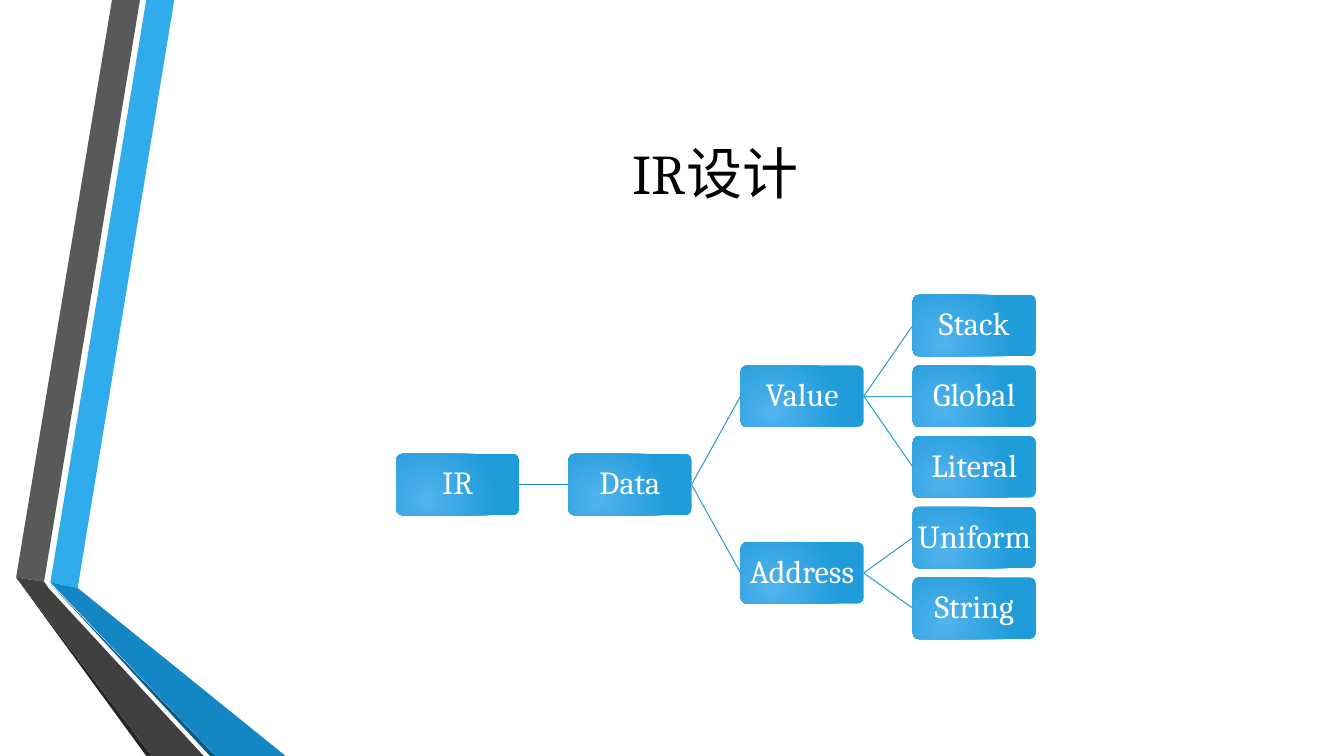
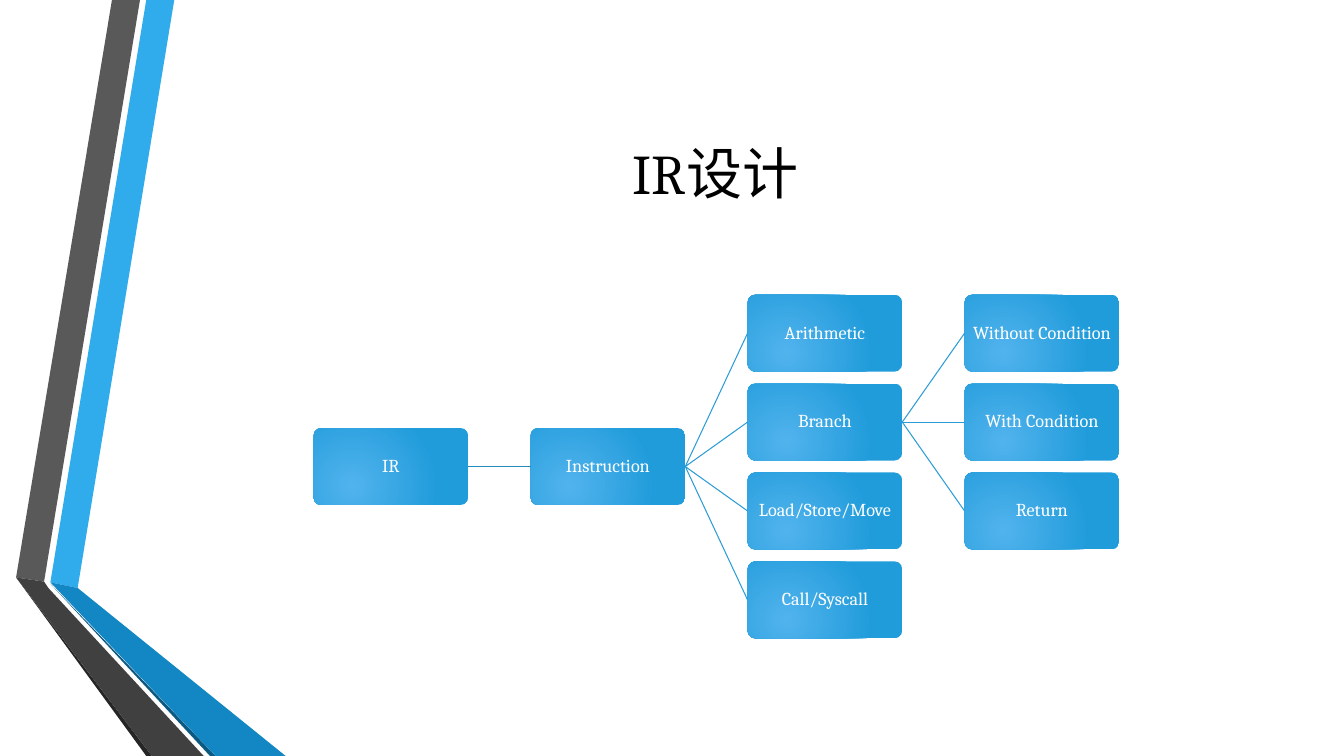
from lxml import etree
from pptx import Presentation
from pptx.dml.color import RGBColor
from pptx.enum.shapes import MSO_CONNECTOR, MSO_SHAPE
from pptx.enum.text import MSO_ANCHOR, PP_ALIGN
from pptx.oxml.ns import qn
from pptx.util import Pt

PX = 6350
CENTER = PP_ALIGN.CENTER
MIDDLE = MSO_ANCHOR.MIDDLE
ROUNDED = MSO_SHAPE.ROUNDED_RECTANGLE
STRAIGHT = MSO_CONNECTOR.STRAIGHT
RIGHT_SITE, LEFT_SITE = 3, 1
FONT = "Cambria"
BLACK, WHITE = "000000", "FFFFFF"
BOX_COLORS = ["51B3ED", "219CDB"]
ROOT_LINE, BRANCH_LINE = "268ABD", "2C9CD6"

BANDS = [
    ("30ACEC", [(72, 832), (111, 840), (249, 0), (209, 0)]),
    ("595959", [(200, 0), (160, 0), (23, 825), (63, 831)]),
    ("262626", [(23, 825), (209, 1080), (217, 1080)]),
    ("0C5A82", [(72, 834), (300, 1080), (308, 1080)]),
    ("1287C3", [(72, 832), (308, 1080), (408, 1080), (111, 840)]),
    ("404040", [(291, 1080), (69, 840), (63, 831), (23, 825), (217, 1080)]),
]

TREES = [
    {
        "left": 566, "top": 421, "width": 176, "height": 88,
        "column_step": 246, "row_step": 101, "size": 23, "margin": 3,
        "nodes": [
            ("IR", None, 2.25),
            ("Data", "IR", 2.25),
            ("Value", "Data", 1),
            ("Stack", "Value", 0),
            ("Global", "Value", 1),
            ("Literal", "Value", 2),
            ("Address", "Data", 3.5),
            ("Uniform", "Address", 3),
            ("String", "Address", 4),
        ],
    },
    {
        "left": 448, "top": 421, "width": 221, "height": 110,
        "column_step": 310, "row_step": 127, "size": 13, "margin": 1,
        "nodes": [
            ("IR", None, 1.5),
            ("Instruction", "IR", 1.5),
            ("Arithmetic", "Instruction", 0),
            ("Branch", "Instruction", 1),
            ("Without Condition", "Branch", 0),
            ("With Condition", "Branch", 1),
            ("Return", "Branch", 2),
            ("Load/Store/Move", "Instruction", 2),
            ("Call/Syscall", "Instruction", 3),
        ],
    },
]


def rgb(value):
    return RGBColor.from_string(value)


def style_text(paragraph, size, color):
    paragraph.alignment = CENTER
    for span in paragraph.runs:
        span.font.name = FONT
        span.font.size = Pt(size)
        span.font.color.rgb = rgb(color)


deck = Presentation()
deck.slide_width = 1920 * PX
deck.slide_height = 1080 * PX
layout = deck.slide_layouts[5]
layout_title = layout.placeholders[0]
layout_title.left, layout_title.top = 233 * PX, 108 * PX
layout_title.width, layout_title.height = 1578 * PX, 276 * PX
layout_title.text_frame.vertical_anchor = MIDDLE
pages = [deck.slides.add_slide(layout) for tree in TREES]

for position, (color, points) in enumerate(BANDS, start=2):
    builder = pages[0].shapes.build_freeform(*points[0], scale=PX)
    builder.add_line_segments(points[1:], close=True)
    band = builder.convert_to_shape()
    band.fill.solid()
    band.fill.fore_color.rgb = rgb(color)
    band.line.fill.background()
    band.shadow.inherit = False
    layout.shapes.element.insert(position, band.element)

for page, tree in zip(pages, TREES):
    title = page.shapes.title
    title.text_frame.text = "IR设计"
    style_text(title.text_frame.paragraphs[0], 40, BLACK)

    boxes = {}
    columns = {}
    for label, parent, row in tree["nodes"]:
        column = columns[parent] + 1 if parent else 0
        columns[label] = column
        box = page.shapes.add_shape(
            ROUNDED,
            (tree["left"] + column * tree["column_step"]) * PX,
            round((tree["top"] + row * tree["row_step"]) * PX),
            tree["width"] * PX,
            tree["height"] * PX,
        )
        boxes[label] = box
        box.adjustments[0] = 0.1
        box.shadow.inherit = False
        box.line.fill.background()
        box.fill.gradient()
        for stop, color in zip(box.fill.gradient_stops, BOX_COLORS):
            stop.color.rgb = rgb(color)
        gradient = box.element.spPr.find(qn("a:gradFill"))
        gradient.remove(gradient.find(qn("a:lin")))
        glow = etree.SubElement(gradient, qn("a:path"), path="circle")
        etree.SubElement(glow, qn("a:fillToRect"),
                         l="50000", t="100000", r="100000", b="50000")

        frame = box.text_frame
        frame.text = label
        frame.vertical_anchor = MIDDLE
        frame.margin_left = frame.margin_right = tree["margin"] * PX
        frame.margin_top = frame.margin_bottom = tree["margin"] * PX
        frame.paragraphs[0].line_spacing = 0.9
        style_text(frame.paragraphs[0], tree["size"], WHITE)

        if parent:
            link = page.shapes.add_connector(STRAIGHT, 0, 0, 0, 0)
            link.begin_connect(boxes[parent], RIGHT_SITE)
            link.end_connect(box, LEFT_SITE)
            link.line.color.rgb = rgb(ROOT_LINE if column == 1 else BRANCH_LINE)
            link.line.width = Pt(0.75)
            etree.SubElement(link.element.spPr, qn("a:effectLst"))

deck.save("out.pptx")
